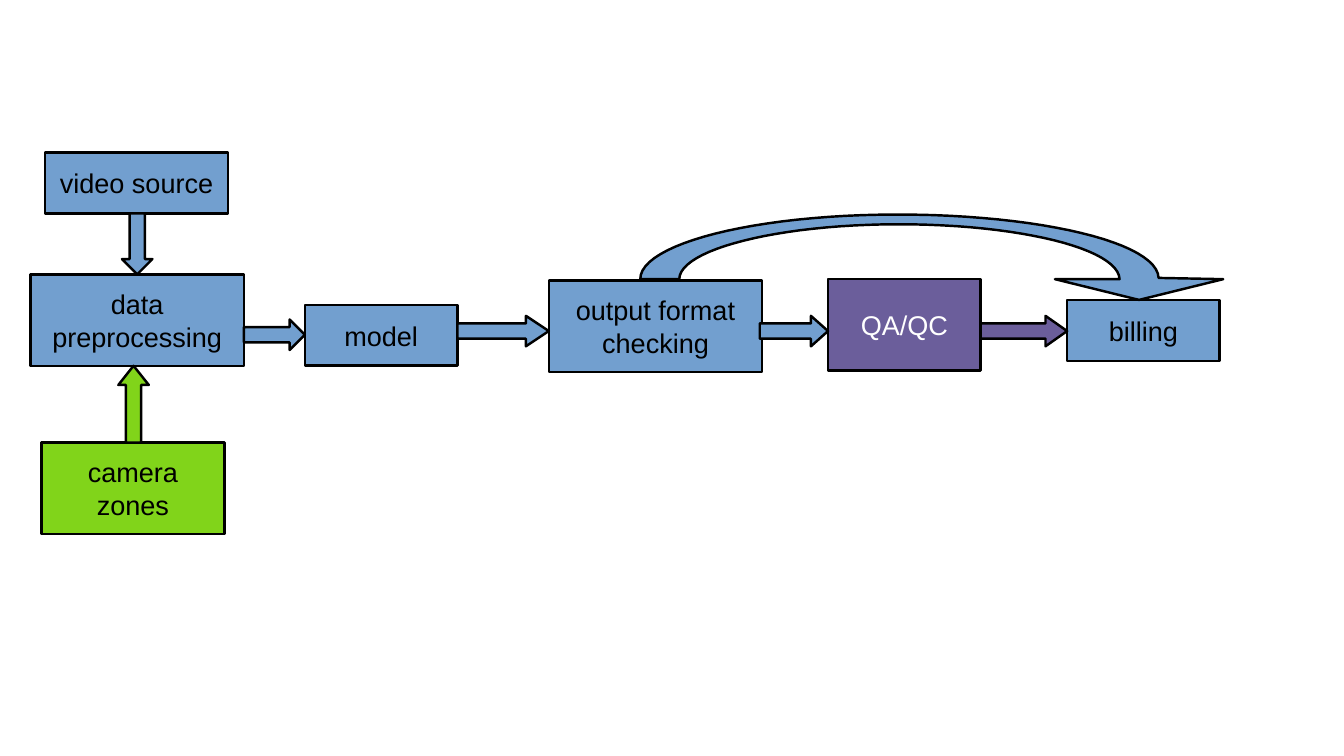
from dataclasses import dataclass

from pptx import Presentation
from pptx.dml.color import RGBColor
from pptx.enum.shapes import MSO_SHAPE as SHAPE
from pptx.enum.text import MSO_ANCHOR, PP_ALIGN
from pptx.util import Inches, Pt


@dataclass(frozen=True)
class Theme:
    blue: str = "729FCF"
    purple: str = "6B5E9B"
    green: str = "81D41A"
    black: str = "000000"
    white: str = "FFFFFF"
    font: str = "Arial"
    size: float = 16
    line: float = 1.45


T = Theme()

# name: (lines of text, left, top, width, height, fill, text colour)
BOXES = {
    "video": (["video source"], 0.37, 1.25, 1.5, 0.5, T.blue, T.black),
    "data": (["data", "preprocessing"], 0.25, 2.25, 1.75, 0.75, T.blue, T.black),
    "model": (["model"], 2.5, 2.5, 1.25, 0.5, T.blue, T.black),
    "check": (["output format checking"], 4.5, 2.3, 1.75, 0.75, T.blue, T.black),
    "qa": (["QA/QC"], 6.79, 2.29, 1.25, 0.75, T.purple, T.white),
    "billing": (["billing"], 8.75, 2.46, 1.25, 0.5, T.blue, T.black),
    "zones": (["camera zones"], 0.34, 3.63, 1.5, 0.75, T.green, T.black),
}

# from, to, direction, left (vertical) or top (horizontal), overlap with the first box
ARROWS = [
    ("zones", "data", "up", 0.97, 0),
    ("video", "data", "down", 1, 0),
    ("data", "model", "right", 2.62, 0),
    ("model", "check", "right", 2.59, 0),
    ("check", "qa", "right", 2.59, 0.02),
    ("qa", "billing", "right", 2.59, 0),
]
ARROW_SHAPES = {"up": SHAPE.UP_ARROW, "down": SHAPE.DOWN_ARROW, "right": SHAPE.RIGHT_ARROW}
THICKNESS = 0.25

# Outline of the bypass from checking to billing: one point is a line, three a curve
BYPASS_START = (9.18, 2.29)
BYPASS = [
    [(9.17, 2.04), (8.36, 1.84), (7.37, 1.84)],
    [(6.37, 1.84), (5.57, 2.05), (5.57, 2.29)],
    [(5.25, 2.29)],
    [(5.25, 2), (6.19, 1.76), (7.36, 1.76)],
    [(8.53, 1.76), (9.49, 1.99), (9.5, 2.28)],
    [(10.03, 2.29)],
    [(9.34, 2.46)],
    [(8.65, 2.29)],
]
CURVE_STEPS = 24


def paint(sp, fill):
    sp.shadow.inherit = False
    sp.fill.solid()
    sp.fill.fore_color.rgb = RGBColor.from_string(fill)
    sp.line.color.rgb = RGBColor.from_string(T.black)
    sp.line.width = Pt(T.line)


def add_preset(slide, kind, left, top, width, height, fill):
    sp = slide.shapes.add_shape(kind, *map(Inches, (left, top, width, height)))
    paint(sp, fill)
    return sp


def write(sp, lines, *, color, size=T.size, font=T.font, align=PP_ALIGN.CENTER):
    tf = sp.text_frame
    tf.word_wrap = True
    tf.vertical_anchor = MSO_ANCHOR.MIDDLE
    for i, line in enumerate(lines):
        p = tf.add_paragraph() if i else tf.paragraphs[0]
        p.alignment = align
        r = p.add_run()
        r.text = line
        r.font.name = font
        r.font.size = Pt(size)
        r.font.color.rgb = RGBColor.from_string(color)


def add_arrow(slide, source, target, direction, cross, overlap):
    """Fill the gap between two boxes; the head takes a quarter of the length."""
    _, x1, y1, w1, h1, fill, _ = BOXES[source]
    _, x2, y2, _, h2, _, _ = BOXES[target]
    start, end = {
        "up": (y2 + h2, y1),
        "down": (y1 + h1, y2),
        "right": (x1 + w1 - overlap, x2),
    }[direction]
    length = end - start
    if direction == "right":
        frame = (start, cross, length, THICKNESS)
    else:
        frame = (cross, start, THICKNESS, length)
    sp = add_preset(slide, ARROW_SHAPES[direction], *frame, fill)
    sp.adjustments[0] = 0.5
    sp.adjustments[1] = length / 4 / THICKNESS


def bezier(p0, p1, p2, p3):
    """Return points along a cubic curve, without its first one."""
    points = []
    for i in range(1, CURVE_STEPS + 1):
        t = i / CURVE_STEPS
        u = 1 - t
        weights = (u**3, 3 * u * u * t, 3 * u * t * t, t**3)
        points.append(tuple(sum(w * c for w, c in zip(weights, axis))
                            for axis in zip(p0, p1, p2, p3)))
    return points


def add_bypass(slide):
    outline = [BYPASS_START]
    for segment in BYPASS:
        outline += bezier(outline[-1], *segment) if len(segment) == 3 else segment
    start, *rest = [(Inches(x), Inches(y)) for x, y in outline]
    builder = slide.shapes.build_freeform(*start)
    builder.add_line_segments(rest, close=True)
    paint(builder.convert_to_shape(), T.blue)


def main():
    prs = Presentation()
    prs.slide_width, prs.slide_height = Inches(11.02), Inches(6.2)
    slide = prs.slides.add_slide(prs.slide_layouts[6])
    for lines, left, top, width, height, fill, color in BOXES.values():
        sp = add_preset(slide, SHAPE.RECTANGLE, left, top, width, height, fill)
        write(sp, lines, color=color)
    for arrow in ARROWS:
        add_arrow(slide, *arrow)
    add_bypass(slide)
    prs.save("out.pptx")


if __name__ == "__main__":
    main()
